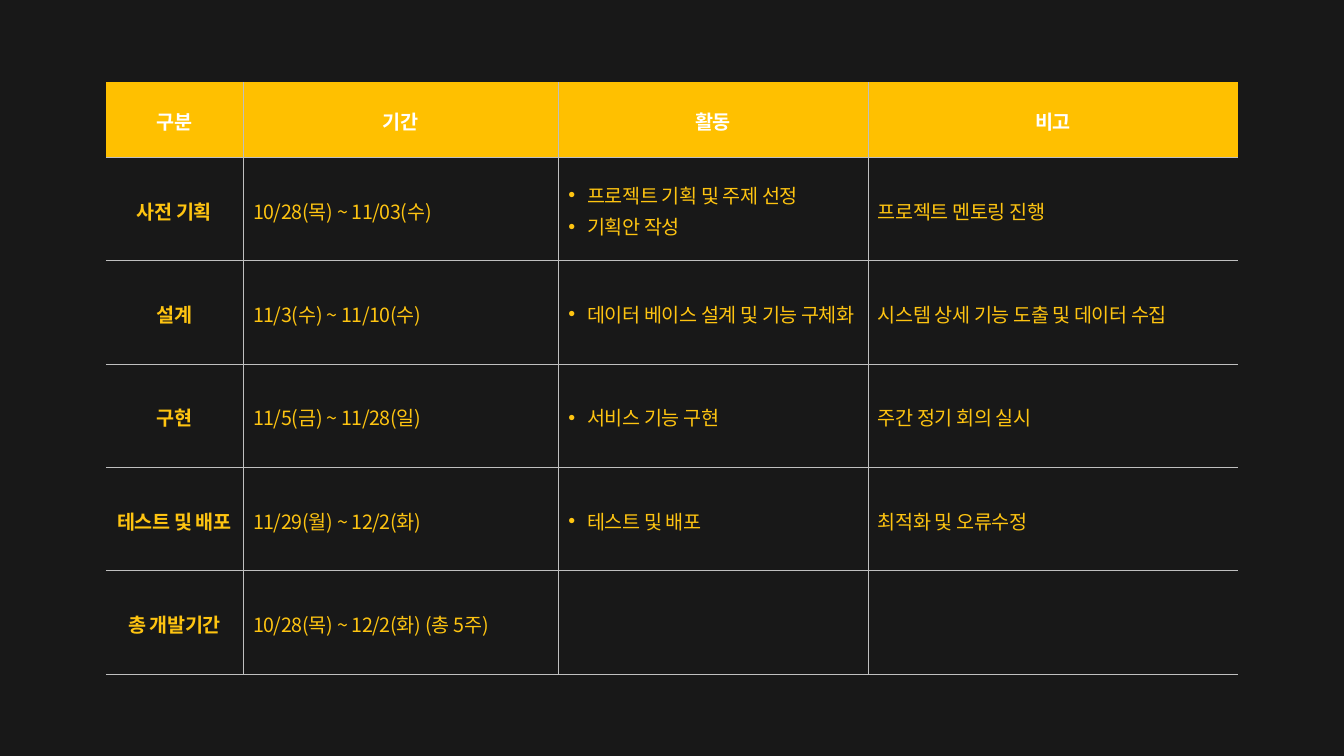
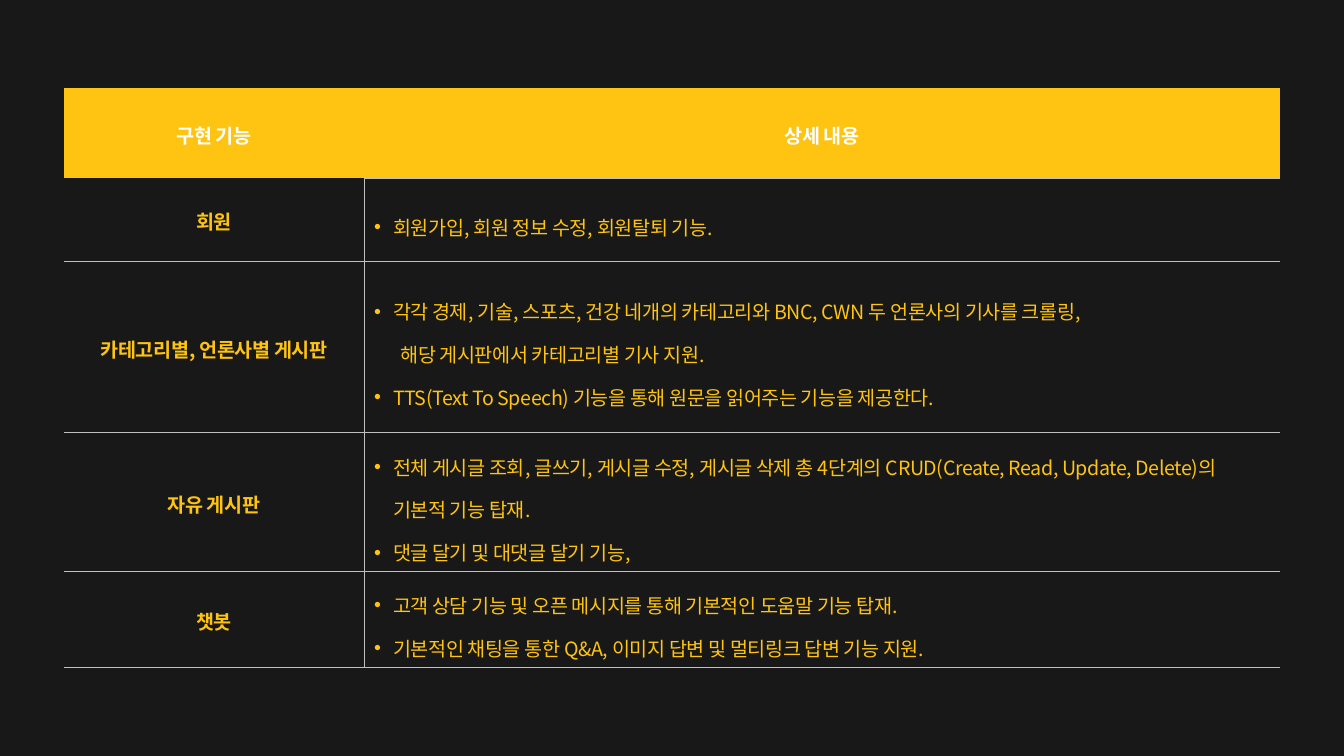
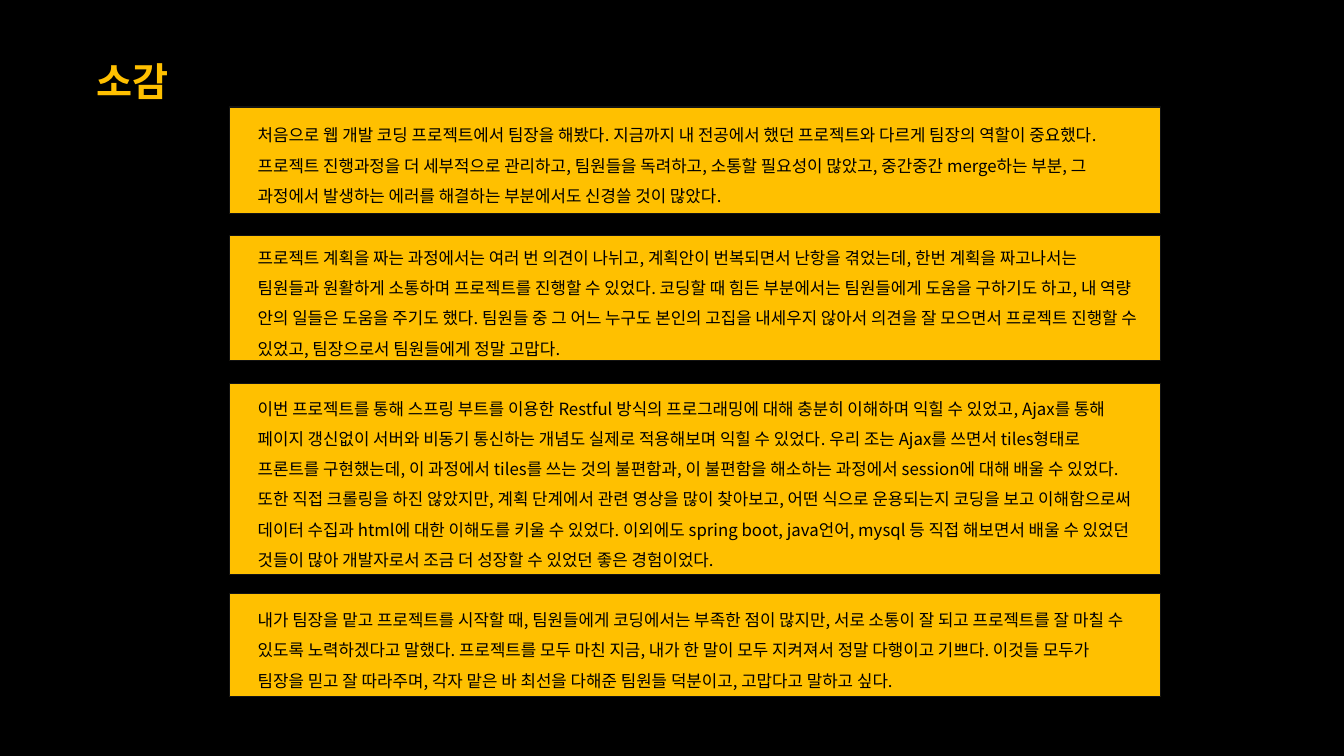
from lxml.etree import SubElement
from pptx import Presentation
from pptx.dml.color import RGBColor
from pptx.enum.shapes import MSO_SHAPE
from pptx.enum.text import MSO_ANCHOR, MSO_AUTO_SIZE, PP_ALIGN
from pptx.oxml.ns import qn
from pptx.util import Inches, Pt

FONT = "Noto Sans CJK KR"
GOLD, AMBER, WHITE, BLACK = "FFC000", "FEC411", "FFFFFF", "000000"
CHARCOAL, EDGE, RULE = "181818", "131313", "BFBFBF"
TITLE_ONLY, BLANK = 5, 6
GRID_COLUMNS, GRID_ROWS = 64, 36
WIDTH, HEIGHT = Inches(13.33), Inches(7.5)
HANGING = 0.9


def color(code):
    """Turn a hex string into a colour."""
    return RGBColor.from_string(code)


def across(columns):
    """Turn grid columns into a length."""
    return int(WIDTH * columns / GRID_COLUMNS)


def down(rows):
    """Turn grid rows into a length."""
    return int(HEIGHT * rows / GRID_ROWS)


def set_values(target, values):
    """Set each attribute of the target from a dict."""
    for name, value in values.items():
        setattr(target, name, value)


class Builder:
    """Holds the deck style and the current slide."""

    def __init__(self):
        """Start an empty wide deck."""
        self.deck = Presentation()
        set_values(self.deck, {"slide_width": WIDTH, "slide_height": HEIGHT})
        self.page = None

    def add_page(self, background, layout=BLANK):
        """Add a slide with a plain background."""
        self.page = self.deck.slides.add_slide(self.deck.slide_layouts[layout])
        fill = self.page.background.fill
        fill.solid()
        fill.fore_color.rgb = color(background)

    def add_text(self, para, text, ink, size, bold=False, tracking=None, **layout):
        """Put one formatted run into a paragraph."""
        set_values(para, layout)
        span = para.add_run()
        span.text = text
        set_values(span.font, {"name": FONT, "size": Pt(size), "bold": bold})
        span.font.color.rgb = color(ink)
        properties = span._r.get_or_add_rPr()
        SubElement(properties, qn("a:ea")).set("typeface", FONT)
        if tracking:
            properties.set("spc", str(tracking))

    def indent(self, para, left, bullet):
        """Indent a paragraph and hang a bullet if asked."""
        properties = para._p.get_or_add_pPr()
        properties.set("marL", str(across(left)))
        properties.set("indent", str(-across(left) if bullet else 0))
        if bullet:
            SubElement(properties, qn("a:buFont")).set("typeface", "Arial")
            SubElement(properties, qn("a:buChar")).set("char", "•")

    def title(self, text, left, top, width, height):
        """Place the slide title."""
        box = self.page.shapes.title
        set_values(box, {"left": across(left), "top": down(top),
                         "width": across(width), "height": down(height)})
        set_values(box.text_frame, {"word_wrap": False, "auto_size": MSO_AUTO_SIZE.NONE,
                                    "vertical_anchor": MSO_ANCHOR.TOP})
        self.add_text(box.text_frame.paragraphs[0], text, GOLD, 28, True,
                      alignment=PP_ALIGN.LEFT)

    def card(self, text, left, top, width, height):
        """Draw a gold card with a paragraph in it."""
        box = self.page.shapes.add_shape(
            MSO_SHAPE.RECTANGLE, across(left), down(top), across(width), down(height))
        box.shadow.inherit = False
        box.fill.solid()
        box.fill.fore_color.rgb = color(GOLD)
        box.line.color.rgb = color(EDGE)
        box.line.width = Pt(1)
        set_values(box.text_frame, {"word_wrap": True, "vertical_anchor": MSO_ANCHOR.MIDDLE,
                                    "margin_left": across(1.35), "margin_right": across(1.05),
                                    "margin_top": 0, "margin_bottom": 0})
        self.add_text(box.text_frame.paragraphs[0], text, BLACK, 12,
                      alignment=PP_ALIGN.LEFT, line_spacing=1.5)

    def borders(self, cell, edges):
        """Rule the named edges of a cell and clear the others."""
        properties = cell._tc.get_or_add_tcPr()
        for edge in "LRTB":
            line = SubElement(properties, qn(f"a:ln{edge}"))
            line.set("w", str(Pt(0.5)))
            if edge in edges:
                fill = SubElement(line, qn("a:solidFill"))
                SubElement(fill, qn("a:srgbClr")).set("val", RULE)
            else:
                SubElement(line, qn("a:noFill"))

    def fill_cell(self, cell, lines, header, centred, spacing):
        """Set the lines of a cell; a line is text or (text, indent, bullet)."""
        cell.vertical_anchor = MSO_ANCHOR.MIDDLE
        for index, line in enumerate(lines):
            frame = cell.text_frame
            para = frame.add_paragraph() if index else frame.paragraphs[0]
            text, left, bullet = (line, 0, False) if isinstance(line, str) else line
            self.add_text(para, text, WHITE if header else AMBER, 14, centred, -30,
                          alignment=PP_ALIGN.CENTER if centred else PP_ALIGN.LEFT,
                          line_spacing=spacing)
            if left:
                self.indent(para, left, bullet)

    def table(self, rows, left, top, widths, heights, header_fill,
              spacing=1.1, divided=True, ruled_from=0):
        """Draw a ruled table with a filled header row."""
        table = self.page.shapes.add_table(
            len(rows), len(widths), across(left), down(top),
            across(sum(widths)), down(sum(heights))).table
        set_values(table, {"first_row": False, "horz_banding": False})
        for column, width in zip(table.columns, widths):
            column.width = across(width)
        for row, height in zip(table.rows, heights):
            row.height = down(height)
        for y, row in enumerate(rows):
            for x, lines in enumerate(row):
                cell, header = table.cell(y, x), y == 0
                ruled = x >= ruled_from
                inside = divided or not header
                edges = {"L": inside and x > 0,
                         "R": inside and x < len(widths) - 1,
                         "T": y > 1 or (y == 1 and ruled),
                         "B": not header or ruled}
                self.borders(cell, [edge for edge, drawn in edges.items() if drawn])
                if header:
                    cell.fill.solid()
                    cell.fill.fore_color.rgb = color(header_fill)
                else:
                    cell.fill.background()
                centred = header or x == 0
                self.fill_cell(cell, lines, header, centred, 1.1 if centred else spacing)


def bullets(*texts):
    """Turn texts into bulleted lines."""
    return [(text, HANGING, True) for text in texts]


SCHEDULE = [
    [["구분"], ["기간"], ["활동"], ["비고"]],
    [["사전 기획"], ["10/28(목) ~ 11/03(수)"],
     bullets("프로젝트 기획 및 주제 선정", "기획안 작성"), ["프로젝트 멘토링 진행"]],
    [["설계"], ["11/3(수) ~ 11/10(수)"],
     bullets("데이터 베이스 설계 및 기능 구체화"), ["시스템 상세 기능 도출 및 데이터 수집"]],
    [["구현"], ["11/5(금) ~ 11/28(일)"], bullets("서비스 기능 구현"), ["주간 정기 회의 실시"]],
    [["테스트 및 배포"], ["11/29(월) ~ 12/2(화)"],
     bullets("테스트 및 배포"), ["최적화 및 오류수정"]],
    [["총 개발기간"], ["10/28(목) ~ 12/2(화) (총 5주)"], [], []],
]

FEATURES = [
    [["구현 기능"], ["상세 내용"]],
    [["회원"], bullets("회원가입, 회원 정보 수정, 회원탈퇴 기능.")],
    [["카테고리별, 언론사별 게시판"],
     bullets("각각 경제, 기술, 스포츠, 건강 네개의 카테고리와 BNC, CWN 두 언론사의 기사를 크롤링,")
     + [("해당 게시판에서 카테고리별 기사 지원.", 1.25, False)]
     + bullets("TTS(Text To Speech) 기능을 통해 원문을 읽어주는 기능을 제공한다.")],
    [["자유 게시판"],
     bullets("전체 게시글 조회, 글쓰기, 게시글 수정, 게시글 삭제 총 4단계의 "
             "CRUD(Create, Read, Update, Delete)의 기본적 기능 탑재.",
             "댓글 달기 및 대댓글 달기 기능,")],
    [["챗봇"],
     bullets("고객 상담 기능 및 오픈 메시지를 통해 기본적인 도움말 기능 탑재.",
             "기본적인 채팅을 통한 Q&A, 이미지 답변 및 멀티링크 답변 기능 지원.")],
]

REFLECTIONS = [
    (5.1, 5.07,
     "처음으로 웹 개발 코딩 프로젝트에서 팀장을 해봤다. 지금까지 내 전공에서 했던 프로젝트와 "
     "다르게 팀장의 역할이 중요했다. 프로젝트 진행과정을 더 세부적으로 관리하고, 팀원들을 "
     "독려하고, 소통할 필요성이 많았고, 중간중간 merge하는 부분, 그 과정에서 발생하는 에러를 "
     "해결하는 부분에서도 신경쓸 것이 많았다."),
    (11.22, 5.94,
     "프로젝트 계획을 짜는 과정에서는 여러 번 의견이 나뉘고, 계획안이 번복되면서 난항을 "
     "겪었는데, 한번 계획을 짜고나서는 팀원들과 원활하게 소통하며 프로젝트를 진행할 수 있었다. "
     "코딩할 때 힘든 부분에서는 팀원들에게 도움을 구하기도 하고, 내 역량 안의 일들은 도움을 "
     "주기도 했다. 팀원들 중 그 어느 누구도 본인의 고집을 내세우지 않아서 의견을 잘 모으면서 "
     "프로젝트 진행할 수 있었고, 팀장으로서 팀원들에게 정말 고맙다."),
    (18.26, 9.1,
     "이번 프로젝트를 통해 스프링 부트를 이용한 Restful 방식의 프로그래밍에 대해 충분히 "
     "이해하며 익힐 수 있었고, Ajax를 통해 페이지 갱신없이 서버와 비동기 통신하는 개념도 실제로 "
     "적용해보며 익힐 수 있었다. 우리 조는 Ajax를 쓰면서 tiles형태로 프론트를 구현했는데, "
     "이 과정에서 tiles를 쓰는 것의 불편함과, 이 불편함을 해소하는 과정에서 session에 대해 배울 "
     "수 있었다. 또한 직접 크롤링을 하진 않았지만, 계획 단계에서 관련 영상을 많이 찾아보고, "
     "어떤 식으로 운용되는지 코딩을 보고 이해함으로써 데이터 수집과 html에 대한 이해도를 키울 수 "
     "있었다. 이외에도 spring boot, java언어, mysql 등 직접 해보면서 배울 수 있었던 것들이 많아 "
     "개발자로서 조금 더 성장할 수 있었던 좋은 경험이었다."),
    (28.25, 4.93,
     "내가 팀장을 맡고 프로젝트를 시작할 때, 팀원들에게 코딩에서는 부족한 점이 많지만, 서로 "
     "소통이 잘 되고 프로젝트를 잘 마칠 수 있도록 노력하겠다고 말했다. 프로젝트를 모두 마친 지금, "
     "내가 한 말이 모두 지켜져서 정말 다행이고 기쁘다. 이것들 모두가 팀장을 믿고 잘 따라주며, "
     "각자 맡은 바 최선을 다해준 팀원들 덕분이고, 고맙다고 말하고 싶다."),
]


def main():
    """Build the three slides and save the deck."""
    builder = Builder()

    builder.add_page(CHARCOAL)
    builder.table(SCHEDULE, 5.04, 3.9, [6.53, 15.02, 14.74, 17.62],
                  [3.6] + [4.92] * 5, GOLD)

    builder.add_page(CHARCOAL)
    builder.table(FEATURES, 3.04, 4.2, [14.3, 43.63], [4.27, 3.98, 8.16, 6.29, 4.18],
                  AMBER, spacing=1.5, divided=False, ruled_from=1)

    builder.add_page(BLACK, TITLE_ONLY)
    builder.title("소감", 4.13, 2.5, 4.8, 2.74)
    for top, height, text in REFLECTIONS:
        builder.card(text, 10.92, top, 44.35, height)

    builder.deck.save("out.pptx")


if __name__ == "__main__":
    main()
